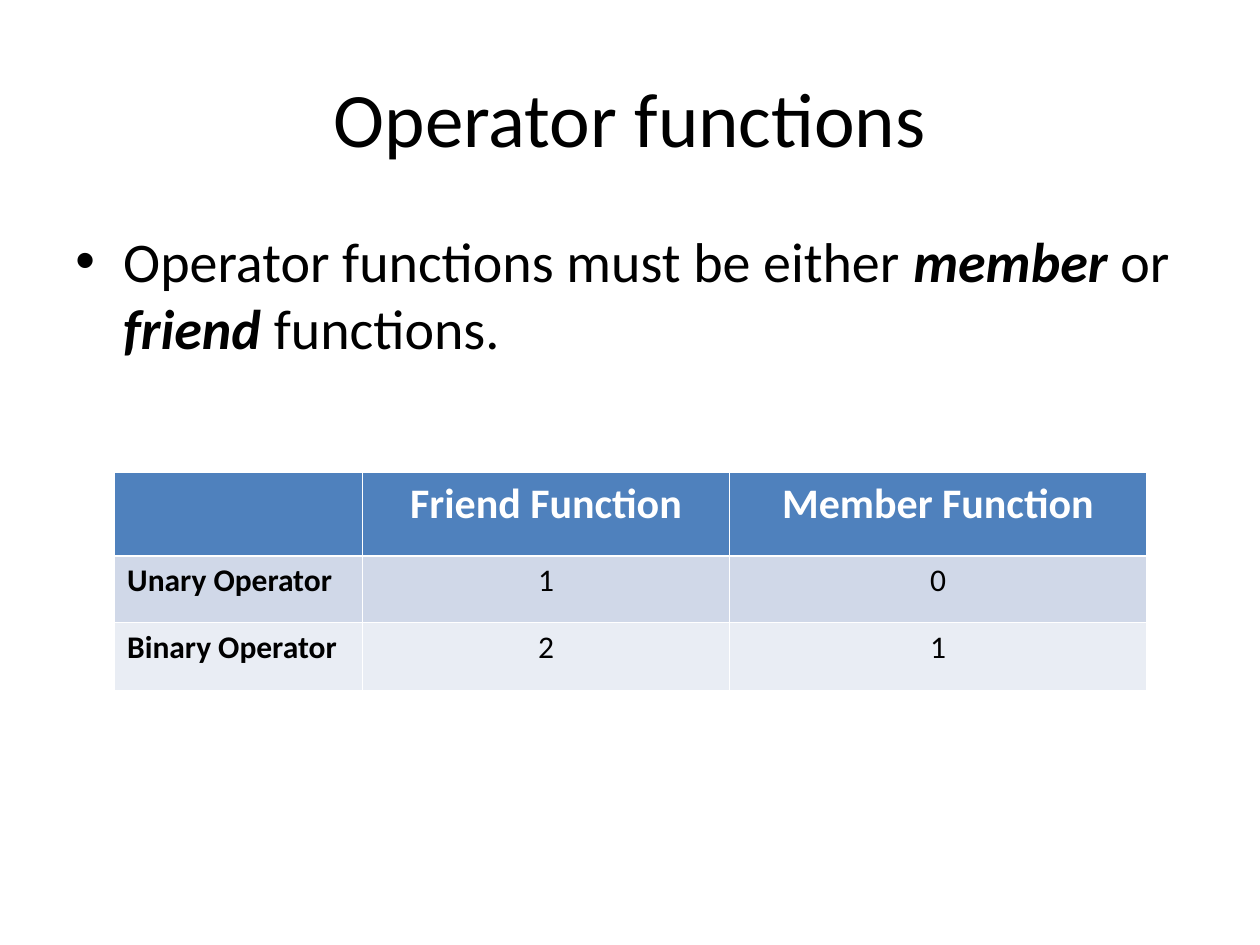
from pptx import Presentation
from pptx.dml.color import RGBColor
from pptx.enum.text import MSO_ANCHOR as Anchor, PP_ALIGN as Align
from pptx.oxml.ns import qn
from pptx.util import Inches, Pt
from lxml.etree import SubElement as Sub

BLACK, WHITE, BLUE = "000000", "FFFFFF", "4F81BD"
BANDS = ["D0D8E8", "E9EDF4"]
THIN, THICK = 0.45, 1.47


def color(code):
    return RGBColor.from_string(code)


class Deck:
    """Holds the text style and the current slide, and adds elements to it."""

    def __init__(self, slide, font="Calibri"):
        self.slide = slide
        self.font = font

    def run(self, para, text, size, tint=BLACK, bold=False, slant=False):
        run = para.add_run()
        run.text = text
        font = run.font
        font.name, font.size = self.font, Pt(size)
        font.bold, font.italic = bold, slant
        font.color.rgb = color(tint)

    def box(self, left, top, width, height, anchor=Anchor.TOP):
        shape = self.slide.shapes.add_textbox(
            Inches(left), Inches(top), Inches(width), Inches(height))
        frame = shape.text_frame
        frame.word_wrap = True
        frame.vertical_anchor = anchor
        return frame.paragraphs[0]

    def title(self, text):
        para = self.box(0.5, 0.3, 9, 1.25, Anchor.MIDDLE)
        para.alignment = Align.CENTER
        self.run(para, text, 44)

    def bullet(self, parts):
        para = self.box(0.5, 1.75, 9, 4.95)
        props = para._p.get_or_add_pPr()
        props.set("marL", str(Inches(0.38)))
        props.set("indent", str(-Inches(0.38)))
        Sub(props, qn("a:buFont"), typeface="Arial")
        Sub(props, qn("a:buChar"), char="•")
        for text, strong in parts:
            self.run(para, text, 32, bold=strong, slant=strong)

    def border(self, cell, widths):
        props = cell._tc.get_or_add_tcPr()
        for side, width in widths.items():
            line = Sub(props, qn(f"a:ln{side}"), w=str(Pt(width)))
            fill = Sub(line, qn("a:solidFill"))
            Sub(fill, qn("a:srgbClr"), val=WHITE)

    def table(self, left, top, cols, rows, data):
        table = self.slide.shapes.add_table(
            len(rows), len(cols), Inches(left), Inches(top),
            Inches(sum(cols)), Inches(sum(rows))).table
        for col, width in zip(table.columns, cols):
            col.width = Inches(width)
        for row, height in zip(table.rows, rows):
            row.height = Inches(height)
        for r, line in enumerate(data):
            head = r == 0
            for c, text in enumerate(line):
                cell = table.cell(r, c)
                self.border(cell, {"L": THIN, "R": THIN,
                                   "T": THICK if r == 1 else THIN,
                                   "B": THICK if head else THIN})
                cell.fill.solid()
                cell.fill.fore_color.rgb = color(BLUE if head else BANDS[r - 1])
                if text:
                    para = cell.text_frame.paragraphs[0]
                    para.alignment = Align.CENTER if c else Align.LEFT
                    self.run(para, text, 24 if head else 18,
                             WHITE if head else BLACK, head or c == 0)


def main():
    show = Presentation()
    show.slide_width, show.slide_height = Inches(10), Inches(7.5)
    deck = Deck(show.slides.add_slide(show.slide_layouts[6]))
    deck.title("Operator functions")
    deck.bullet([("Operator functions must be either ", False),
                 ("member", True), (" or ", False),
                 ("friend", True), (" functions.", False)])
    deck.table(0.91, 3.75, [1.97, 2.91, 3.31], [0.66, 0.53, 0.54],
               [["", "Friend Function", "Member Function"],
                ["Unary Operator", "1", "0"],
                ["Binary Operator", "2", "1"]])
    show.save("out.pptx")


if __name__ == "__main__":
    main()
